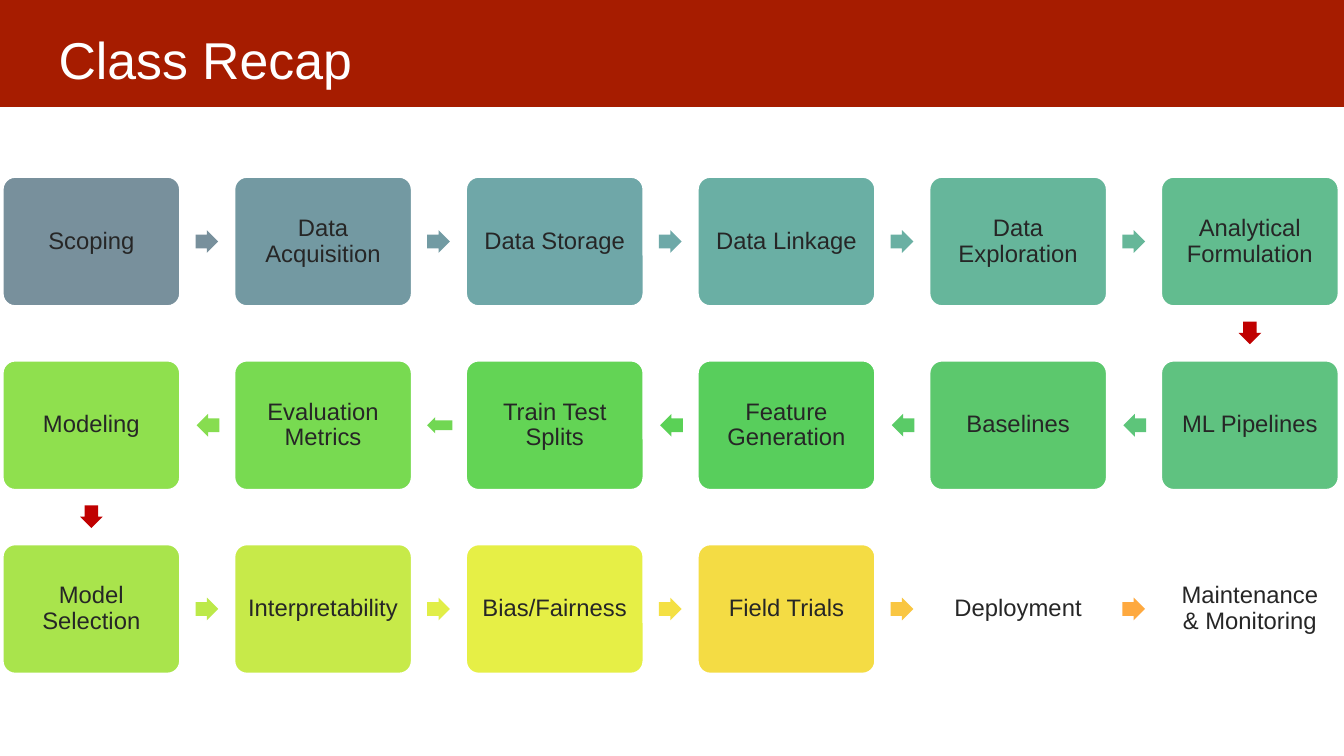
from pptx import Presentation
from pptx.dml.color import RGBColor
from pptx.enum.shapes import MSO_SHAPE as Preset
from pptx.enum.text import MSO_ANCHOR as Anchor, MSO_AUTO_SIZE as AutoSize, PP_ALIGN as Align
from pptx.util import Pt

WHITE = RGBColor(0xFF, 0xFF, 0xFF)
TITLE_RED = RGBColor(0xA6, 0x1C, 0x00)
TURN_RED = RGBColor(0xC0, 0x00, 0x00)
TEXT_GREY = RGBColor(0x26, 0x26, 0x26)

# Steps in reading order: label, box colour, colour of the arrow to the next step
STEPS = [
    ("Scoping", RGBColor(0x78, 0x90, 0x9C), RGBColor(0x78, 0x90, 0x9C)),
    ("Data Acquisition", RGBColor(0x73, 0x99, 0xA2), RGBColor(0x72, 0x9B, 0xA3)),
    ("Data Storage", RGBColor(0x6F, 0xA7, 0xA8), RGBColor(0x6E, 0xA9, 0xA8)),
    ("Data Linkage", RGBColor(0x6A, 0xAF, 0xA4), RGBColor(0x6A, 0xB0, 0xA3)),
    ("Data Exploration", RGBColor(0x66, 0xB6, 0x9B), RGBColor(0x66, 0xB7, 0x99)),
    ("Analytical Formulation", RGBColor(0x62, 0xBC, 0x8F), TURN_RED),
    ("ML Pipelines", RGBColor(0x5F, 0xC2, 0x80), RGBColor(0x5D, 0xC5, 0x7A)),
    ("Baselines", RGBColor(0x5C, 0xC8, 0x6D), RGBColor(0x5A, 0xCB, 0x67)),
    ("Feature Generation", RGBColor(0x58, 0xCE, 0x5C), RGBColor(0x5A, 0xD1, 0x56)),
    ("Train Test Splits", RGBColor(0x63, 0xD4, 0x55), RGBColor(0x71, 0xD7, 0x53)),
    ("Evaluation Metrics", RGBColor(0x78, 0xDA, 0x51), RGBColor(0x87, 0xDD, 0x50)),
    ("Modeling", RGBColor(0x8F, 0xE0, 0x4E), TURN_RED),
    ("Model Selection", RGBColor(0xA9, 0xE4, 0x4C), RGBColor(0xBC, 0xE9, 0x49)),
    ("Interpretability", RGBColor(0xC7, 0xEA, 0x49), RGBColor(0xE1, 0xEE, 0x47)),
    ("Bias/Fairness", RGBColor(0xE6, 0xEF, 0x46), RGBColor(0xF4, 0xE0, 0x44)),
    ("Field Trials", RGBColor(0xF4, 0xDC, 0x44), RGBColor(0xF9, 0xC6, 0x42)),
    ("Deployment", WHITE, RGBColor(0xFE, 0xA9, 0x3F)),
    ("Maintenance & Monitoring", WHITE, None),
]

# Grid, in points
COLUMNS = 6
GRID_LEFT, GRID_TOP = 1.6, 126
COLUMN_STEP, ROW_STEP = 165.5, 131.25
BOX_WIDTH, BOX_HEIGHT = 127.4, 93
ARROW_SIZE = (16.2, 16.2)
SLIM_ARROW_SIZE = (18, 11.5)


def add_filled(preset, left, top, width, height, color):
    shape = slide.shapes.add_shape(preset, Pt(left), Pt(top), Pt(width), Pt(height))
    shape.shadow.inherit = False
    shape.fill.solid()
    shape.fill.fore_color.rgb = color
    shape.line.fill.background()
    return shape


def format_run(run, size, color):
    run.font.name = "Arial"
    run.font.size = Pt(size)
    run.font.color.rgb = color


presentation = Presentation()
presentation.slide_width, presentation.slide_height = Pt(960), Pt(540)
slide = presentation.slides.add_slide(presentation.slide_layouts[5])

# Title on its red bar
title = slide.shapes.title
title.left, title.top, title.width, title.height = Pt(32.4), Pt(6.5), Pt(894), Pt(60)
title_frame = title.text_frame
title_frame.text = "Class Recap"
title_frame.auto_size = AutoSize.NONE
title_frame.vertical_anchor = Anchor.TOP
title_frame.margin_left = title_frame.margin_right = Pt(9.4)
title_frame.margin_top, title_frame.margin_bottom = Pt(13.5), Pt(0)
title_frame.paragraphs[0].alignment = Align.LEFT
format_run(title_frame.paragraphs[0].runs[0], 37, WHITE)
title_bar = add_filled(Preset.RECTANGLE, -1.5, -2.8, 962, 79.2, TITLE_RED)
title._element.addprevious(title_bar._element)

# Steps snake through the grid; every second row runs right to left
for index, (label, box_color, arrow_color) in enumerate(STEPS):
    row, place = divmod(index, COLUMNS)
    backwards = row % 2 == 1
    column = COLUMNS - 1 - place if backwards else place
    left = GRID_LEFT + column * COLUMN_STEP
    top = GRID_TOP + row * ROW_STEP

    # Box with its label
    box = add_filled(Preset.ROUNDED_RECTANGLE, left, top, BOX_WIDTH, BOX_HEIGHT, box_color)
    box.adjustments[0] = 0.1
    box.line.color.rgb = WHITE
    box.line.width = Pt(2)
    frame = box.text_frame
    frame.text = label
    frame.word_wrap = True
    frame.vertical_anchor = Anchor.MIDDLE
    frame.margin_left = frame.margin_right = frame.margin_top = frame.margin_bottom = Pt(5)
    paragraph = frame.paragraphs[0]
    paragraph.alignment = Align.CENTER
    paragraph.line_spacing = 0.9
    format_run(paragraph.runs[0], 17, TEXT_GREY)

    # Arrow to the next step
    if arrow_color is None:
        continue
    center_x, center_y = left + 146.2, top + BOX_HEIGHT / 2
    rotation = 0
    if place == COLUMNS - 1:
        center_x, center_y = left + BOX_WIDTH / 2, top + 111.8
        rotation = 90
    elif backwards:
        center_x = left - COLUMN_STEP + 147
        rotation = 180
    width, height = SLIM_ARROW_SIZE if label == "Train Test Splits" else ARROW_SIZE
    arrow = add_filled(Preset.RIGHT_ARROW, center_x - width / 2, center_y - height / 2,
                       width, height, arrow_color)
    arrow.adjustments[0], arrow.adjustments[1] = 0.6, 0.5
    arrow.rotation = rotation

presentation.save("out.pptx")
